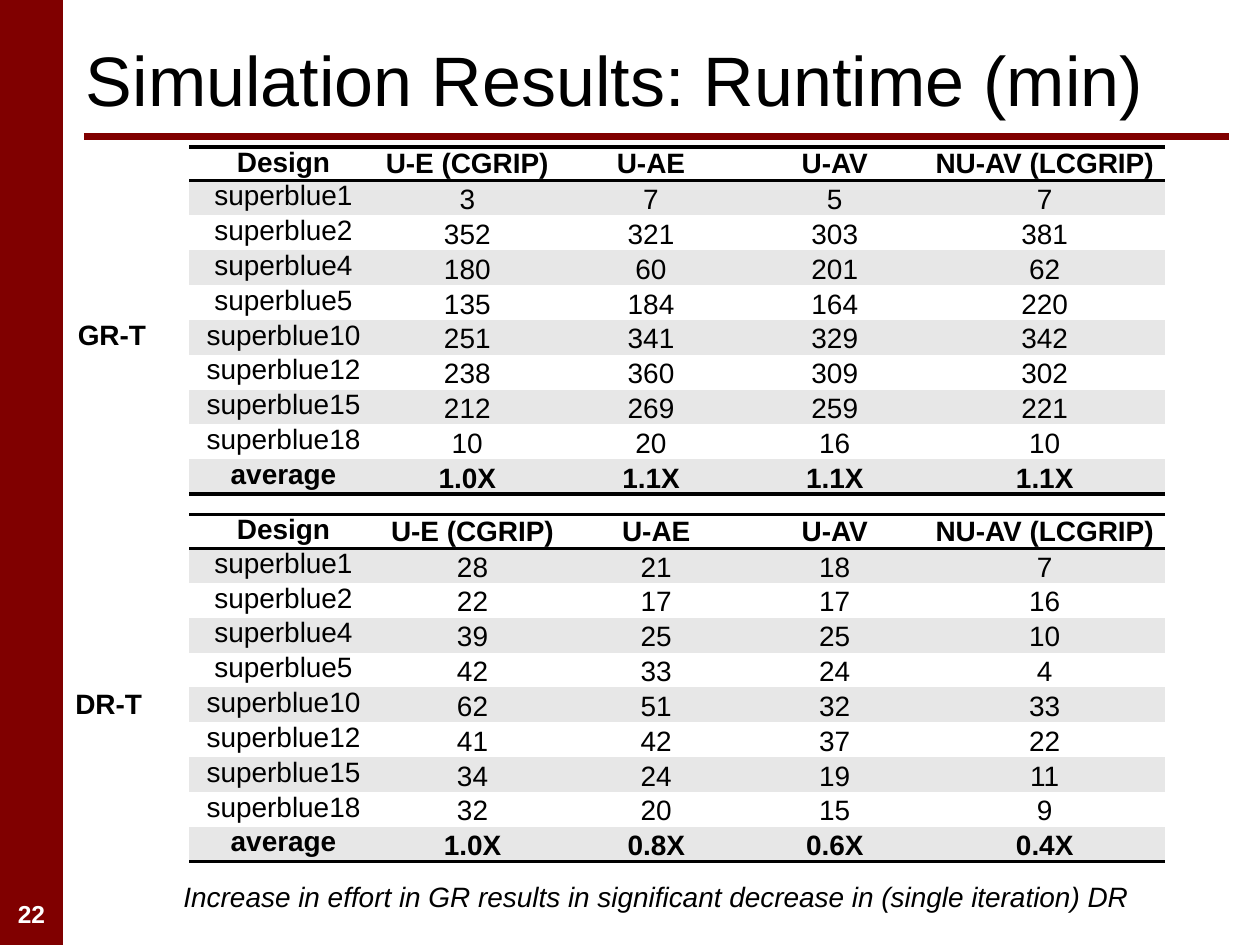
"""Build the runtime results slide with its two tables."""
from lxml import etree
from pptx import Presentation
from pptx.dml.color import RGBColor
from pptx.enum.shapes import MSO_CONNECTOR, MSO_SHAPE
from pptx.enum.text import MSO_ANCHOR, PP_ALIGN
from pptx.oxml.ns import qn
from pptx.util import Pt

LEFT, CENTER = PP_ALIGN.LEFT, PP_ALIGN.CENTER
TOP, MIDDLE, BOTTOM = MSO_ANCHOR.TOP, MSO_ANCHOR.MIDDLE, MSO_ANCHOR.BOTTOM
RECTANGLE, STRAIGHT = MSO_SHAPE.RECTANGLE, MSO_CONNECTOR.STRAIGHT
MAROON, BLACK, WHITE, GRAY = "800000", "000000", "FFFFFF", "E7E7E7"
NO_STYLE = "{2D5ABB26-0587-4C30-8999-92F81FD0307C}"

TITLE = "Simulation Results: Runtime (min)"
PAGE_NUMBER = "22"
CONCLUSION = ("Increase in effort in GR results in significant decrease in "
              "(single iteration) DR")
HEADER = ("Design", "U-E (CGRIP)", "U-AE", "U-AV", "NU-AV (LCGRIP)")
DESIGNS = ("superblue1", "superblue2", "superblue4", "superblue5", "superblue10",
           "superblue12", "superblue15", "superblue18", "average")
RUNTIMES = [
    {
        "label": "GR-T", "label_box": (37.4, 178, 54, 26.6),
        "top": 84, "widths": (108, 102, 108, 102, 138),
        "values": [
            (3, 7, 5, 7), (352, 321, 303, 381), (180, 60, 201, 62),
            (135, 184, 164, 220), (251, 341, 329, 342), (238, 360, 309, 302),
            (212, 269, 259, 221), (10, 20, 16, 10),
            ("1.0X", "1.1X", "1.1X", "1.1X"),
        ],
    },
    {
        "label": "DR-T", "label_box": (36, 389, 53.3, 26.6),
        "top": 294, "widths": (108, 108, 102, 102, 138),
        "values": [
            (28, 21, 18, 7), (22, 17, 17, 16), (39, 25, 25, 10),
            (42, 33, 24, 4), (62, 51, 32, 33), (41, 42, 37, 22),
            (34, 24, 19, 11), (32, 20, 15, 9),
            ("1.0X", "0.8X", "0.6X", "0.4X"),
        ],
    },
]
TABLE_LEFT, ROW_HEIGHT = 108, 19.2


def color(value):
    return RGBColor.from_string(value)


def write(frame, text, size=16, ink=BLACK, bold=False, italic=False, align=LEFT):
    paragraph = frame.paragraphs[0]
    paragraph.alignment = align
    run = paragraph.add_run()
    run.text = str(text)
    font = run.font
    font.name, font.size, font.bold, font.italic = "Arial", Pt(size), bold, italic
    font.color.rgb = color(ink)


def add_text(slide, box, text, anchor=TOP, wrap=True, **style):
    frame = slide.shapes.add_textbox(*map(Pt, box)).text_frame
    frame.word_wrap = wrap
    frame.vertical_anchor = anchor
    write(frame, text, **style)


def add_border(cell, side):
    line = etree.SubElement(cell._tc.get_or_add_tcPr(), qn(f"a:{side}"), w=str(Pt(2)))
    fill = etree.SubElement(line, qn("a:solidFill"))
    etree.SubElement(fill, qn("a:srgbClr"), val=BLACK)


def format_cell(cell, row, column, last_row):
    cell.vertical_anchor = TOP if column == 0 else MIDDLE if row == 0 else BOTTOM
    cell.margin_left = cell.margin_right = Pt(7.2 if column == 0 else 0.7)
    cell.margin_top = Pt(0.7 if row and column else 0)
    cell.margin_bottom = 0
    if row == 0:
        add_border(cell, "lnT")
    if row in (0, last_row):
        add_border(cell, "lnB")
    cell.fill.solid()
    cell.fill.fore_color.rgb = color(GRAY if row % 2 else WHITE)


def add_runtime_table(slide, top, widths, values):
    rows = [HEADER] + [(design, *times) for design, times in zip(DESIGNS, values)]
    last_row = len(rows) - 1
    table = slide.shapes.add_table(
        len(rows), len(HEADER), Pt(TABLE_LEFT), Pt(top),
        Pt(sum(widths)), Pt(ROW_HEIGHT * len(rows))).table
    table.first_row = table.horz_banding = False
    table._tbl.tblPr.find(qn("a:tableStyleId")).text = NO_STYLE
    for table_column, width in zip(table.columns, widths):
        table_column.width = Pt(width)
    for row, entries in enumerate(rows):
        table.rows[row].height = Pt(ROW_HEIGHT)
        for column, entry in enumerate(entries):
            cell = table.cell(row, column)
            format_cell(cell, row, column, last_row)
            write(cell.text_frame, entry, bold=row in (0, last_row), align=CENTER)


def main():
    deck = Presentation()
    deck.slide_width, deck.slide_height = Pt(720), Pt(540)
    slide = deck.slides.add_slide(deck.slide_layouts[6])

    sidebar = slide.shapes.add_shape(RECTANGLE, 0, 0, Pt(36), Pt(540))
    sidebar.shadow.inherit = False
    sidebar.fill.solid()
    sidebar.fill.fore_color.rgb = color(MAROON)
    sidebar.line.fill.background()

    rule = slide.shapes.add_connector(STRAIGHT, Pt(48), Pt(78), Pt(702), Pt(78))
    rule.line.color.rgb = color(MAROON)
    rule.line.width = Pt(4)
    etree.SubElement(rule._element.spPr, qn("a:effectLst"))

    add_text(slide, (0, 510, 36, 24), PAGE_NUMBER, size=14, ink=WHITE, bold=True,
             align=CENTER)
    add_text(slide, (42, 6, 660, 78), TITLE, anchor=MIDDLE, size=40)
    for runtime in RUNTIMES:
        add_runtime_table(slide, runtime["top"], runtime["widths"], runtime["values"])
        add_text(slide, runtime["label_box"], runtime["label"], wrap=False, bold=True)
    add_text(slide, (84, 499, 582, 26.6), CONCLUSION, italic=True, align=CENTER)

    deck.save("out.pptx")


if __name__ == "__main__":
    main()
